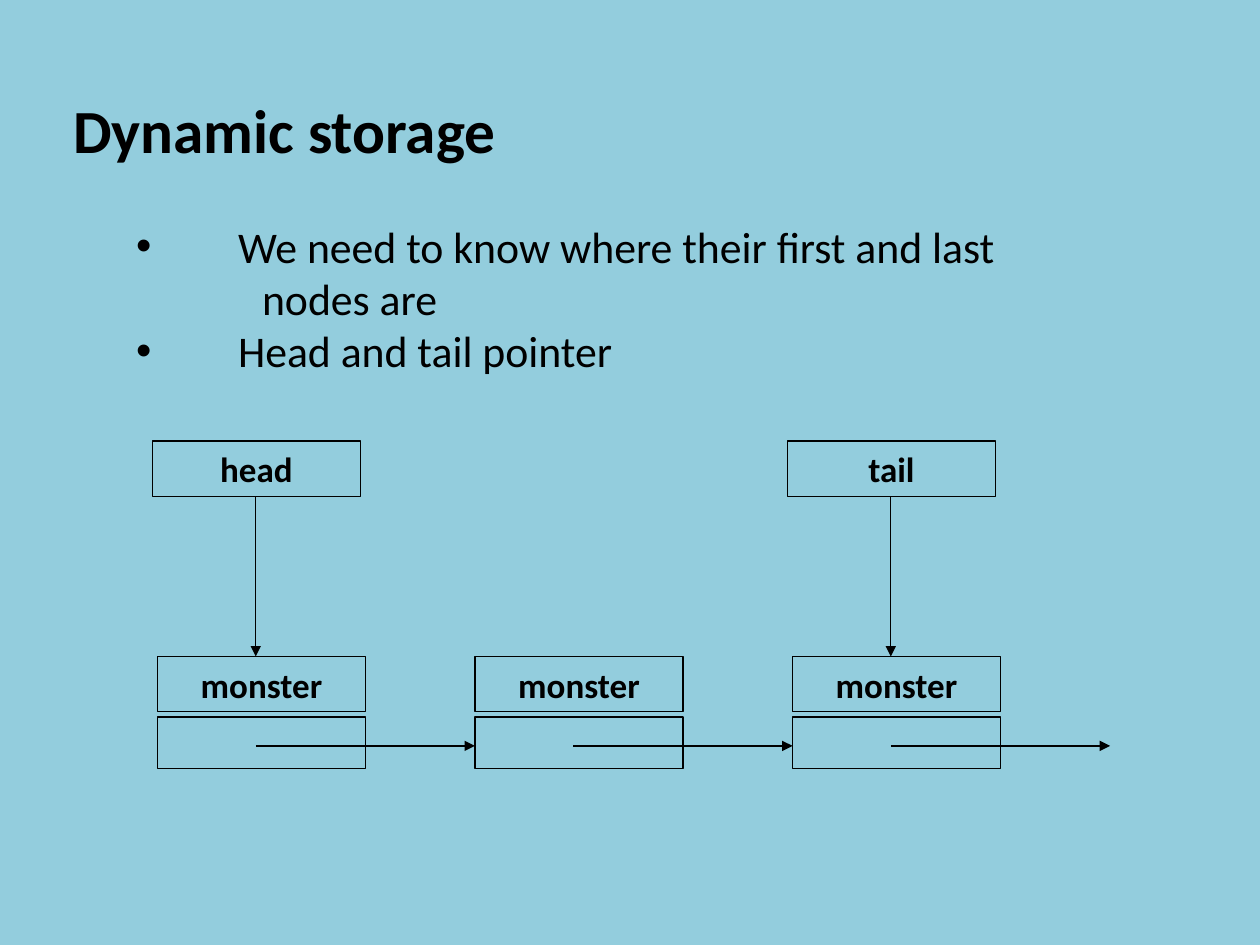
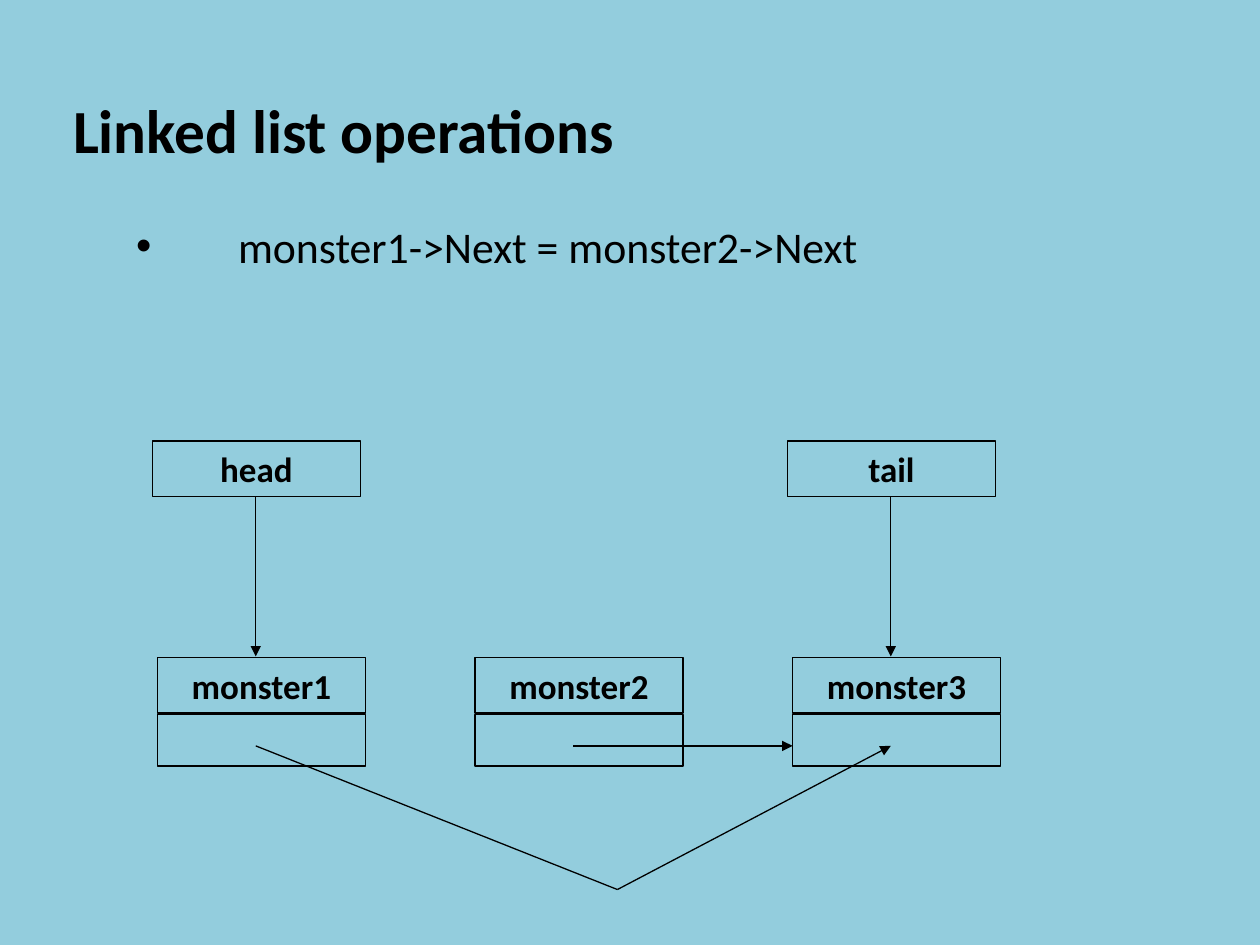
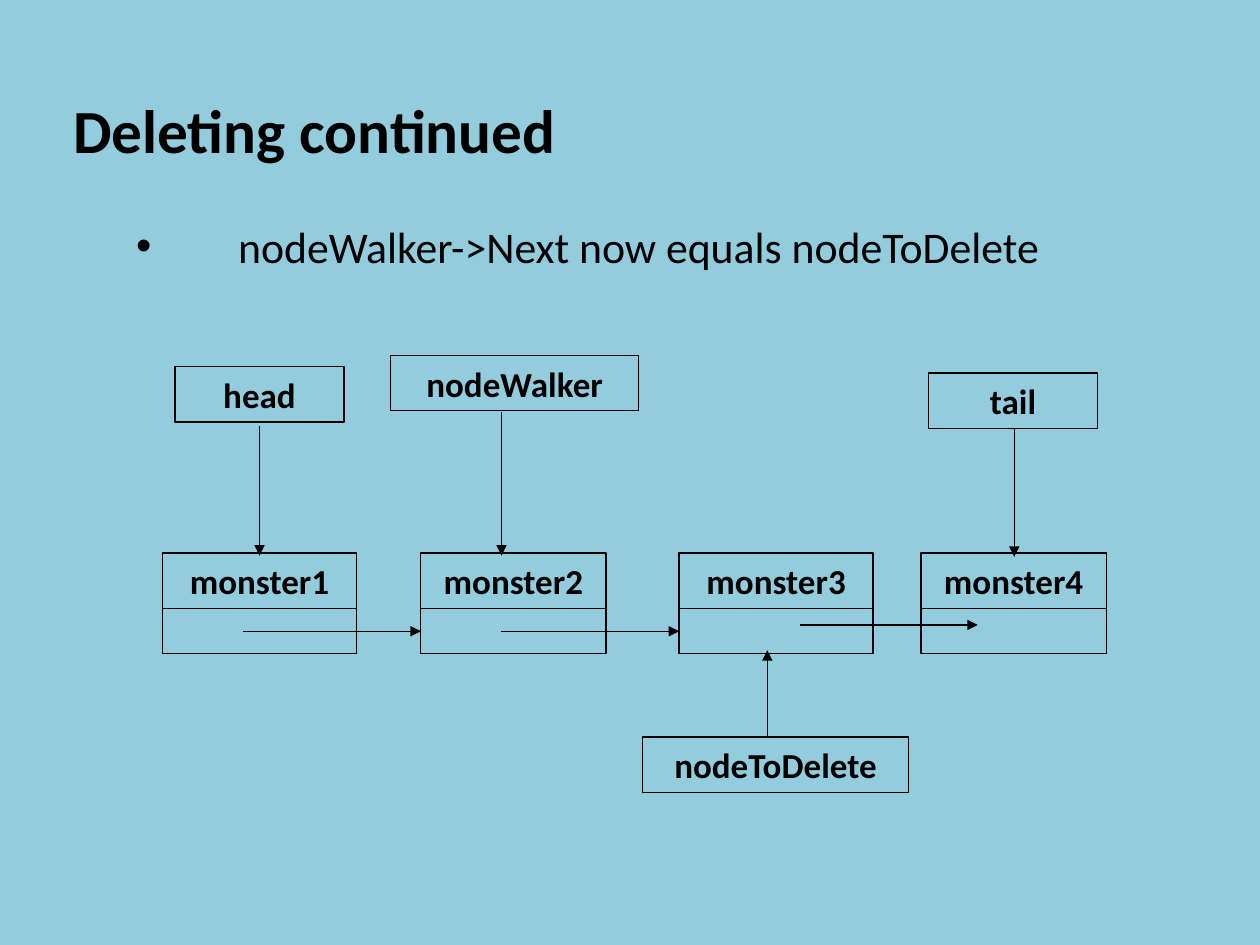
from pptx import Presentation
from pptx.dml.color import RGBColor
from pptx.enum.shapes import MSO_CONNECTOR as CONN, MSO_SHAPE as SHAPE
from pptx.enum.text import MSO_ANCHOR as ANCHOR, MSO_AUTO_SIZE as FIT, PP_ALIGN as ALIGN
from pptx.oxml.ns import qn
from pptx.util import Inches, Pt
from lxml.etree import SubElement

# The grid: one cell is a tenth of an inch
COLS, ROWS = 100, 75
LABEL_H = 4.4


def color(hex_code):
    return RGBColor.from_string(hex_code)


class Deck:
    """Holds the shared style and the current slide."""
    FONT, INK, BACK = "Calibri", "000000", "93CDDD"
    TITLE_PT, BODY_PT, LABEL_PT, LINE_PT = 35, 25, 20, 0.75

    def __init__(self):
        self.prs = Presentation()
        self.prs.slide_width, self.prs.slide_height = Inches(10), Inches(7.5)
        fill = self.prs.slide_master.background.fill
        fill.solid()
        fill.fore_color.rgb = color(self.BACK)

    def x(self, col):
        return round(self.prs.slide_width * col / COLS)

    def y(self, row):
        return round(self.prs.slide_height * row / ROWS)

    def run(self, p, text, size, bold=False):
        r = p.add_run()
        r.text = text
        r.font.name, r.font.size, r.font.bold = self.FONT, Pt(size), bold
        r.font.color.rgb = color(self.INK)

    def place(self, sp, col, row, w, h):
        """Move a placeholder and clear its margins and autofit."""
        sp.left, sp.top, sp.width, sp.height = self.x(col), self.y(row), self.x(w), self.y(h)
        tf = sp.text_frame
        tf.margin_left = tf.margin_right = tf.margin_top = tf.margin_bottom = 0
        tf.word_wrap, tf.auto_size, tf.vertical_anchor = True, FIT.NONE, ANCHOR.TOP
        return tf

    def slide(self, title, items):
        """Start a slide; each item is a bullet given as a list of lines."""
        self.s = self.prs.slides.add_slide(self.prs.slide_layouts[1])
        p = self.place(self.s.shapes.title, 5.8, 7.3, 88, 6).paragraphs[0]
        p.alignment = ALIGN.LEFT
        self.run(p, title, self.TITLE_PT, True)

        tf = self.place(self.s.placeholders[1], 10.8, 17.4, 84, 4.25 * sum(map(len, items)))
        lines = [(i, line) for item in items for i, line in enumerate(item)]
        for n, (i, line) in enumerate(lines):
            p = tf.add_paragraph() if n else tf.paragraphs[0]
            p.space_before = Pt(0)
            pPr = p._p.get_or_add_pPr()
            pPr.set("marL", str(Inches(1 if i else 0.81)))
            pPr.set("indent", str(0 if i else Inches(-0.81)))
            if i:
                SubElement(pPr, qn("a:buNone"))
            self.run(p, line, self.BODY_PT)

    def box(self, col, row, w, h=LABEL_H, text=None):
        sp = self.s.shapes.add_shape(SHAPE.RECTANGLE, self.x(col), self.y(row), self.x(w), self.y(h))
        sp.shadow.inherit = False
        sp.fill.background()
        sp.line.color.rgb, sp.line.width = color(self.INK), Pt(self.LINE_PT)
        if text:
            sp.text_frame.vertical_anchor = ANCHOR.MIDDLE
            p = sp.text_frame.paragraphs[0]
            p.alignment = ALIGN.CENTER
            self.run(p, text, self.LABEL_PT, True)

    def node(self, name, col, row, w, link_row, link_h):
        """A list node: a name cell above a link cell."""
        self.box(col, row, w, text=name)
        self.box(col, link_row, w, link_h)

    def line(self, x1, y1, x2, y2, arrow=True):
        c = self.s.shapes.add_connector(CONN.STRAIGHT, self.x(x1), self.y(y1), self.x(x2), self.y(y2))
        c.line.color.rgb, c.line.width = color(self.INK), Pt(self.LINE_PT)
        if arrow:
            SubElement(c.line._get_or_add_ln(), qn("a:tailEnd"), type="triangle")
        SubElement(c._element.spPr, qn("a:effectLst"))

    def three_nodes(self, names, row, link_row, linked):
        """Three nodes with head and tail pointers; linked lists the nodes with an arrow."""
        step, w = 25.2, 16.5
        for i, name in enumerate(names):
            self.node(name, 12.5 + i * step, row, w, link_row, 4.1)
            if i in linked:
                self.line(20.3 + i * step, 59.2, 37.7 + i * step, 59.2)
        for name, i in (("head", 0), ("tail", 2)):
            self.box(12.1 + i * step, 35, w, text=name)
            self.line(20.3 + i * step, 39.4, 20.3 + i * step, 52.1)


deck = Deck()

# Slide 1: head and tail pointers
deck.slide("Dynamic storage", [["We need to know where their first and last", "nodes are"],
                               ["Head and tail pointer"]])
deck.three_nodes(["monster"] * 3, 52.1, 56.9, (0, 1, 2))

# Slide 2: the first node skips the second
deck.slide("Linked list operations", [["monster1->Next = monster2->Next"]])
deck.three_nodes([f"monster{n}" for n in (1, 2, 3)], 52.2, 56.7, (1,))
deck.line(20.3, 59.2, 49, 70.6, arrow=False)
deck.line(49, 70.6, 70.7, 59.2)

# Slide 3: four nodes, a walker and a node to delete
deck.slide("Deleting continued", [["nodeWalker->Next now equals nodeToDelete"]])
for n, (col, w) in enumerate([(12.9, 15.4), (33.4, 14.7), (53.9, 15.4), (73.1, 14.7)], 1):
    deck.node(f"monster{n}", col, 43.9, w, 48.3, 3.6)
for col, row in [(19.3, 50.1), (39.8, 50.1), (63.5, 49.6)]:
    deck.line(col, row, col + 14.1, row)

# Pointer boxes with their arrows: name, column, row, width, arrow column, start, end
for name, col, row, w, at, start, end in [
        ("head", 13.9, 29.1, 13.4, 20.6, 33.8, 44.1),
        ("nodeWalker", 31, 28.2, 19.7, 39.8, 32.7, 44.1),
        ("tail", 73.7, 29.6, 13.4, 80.5, 34, 44.2),
        ("nodeToDelete", 51, 58.5, 21.1, 60.9, 58.5, 51.6)]:
    deck.box(col, row, w, text=name)
    deck.line(at, start, at, end)

deck.prs.save("out.pptx")
